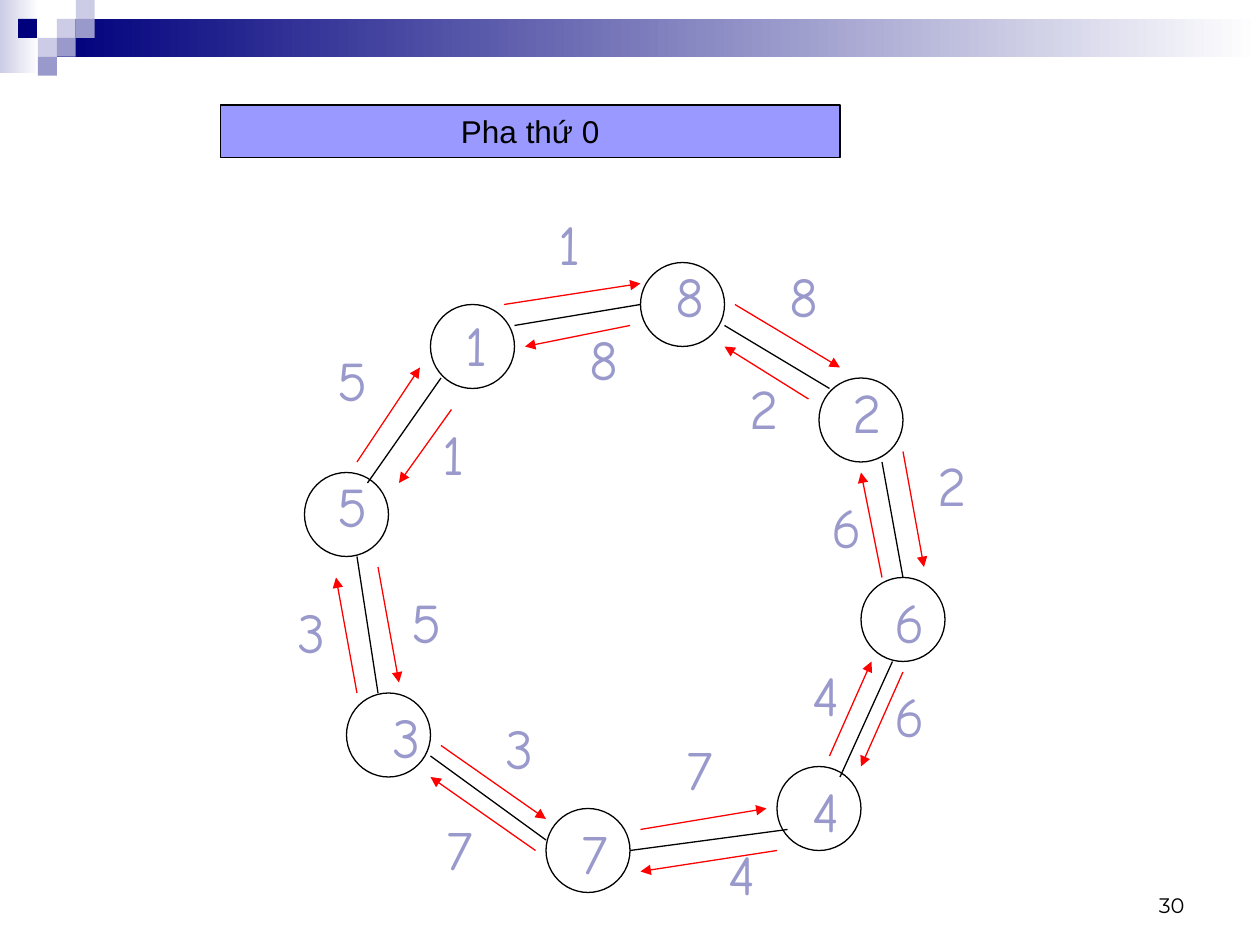
from lxml import etree
from pptx import Presentation
from pptx.dml.color import RGBColor
from pptx.enum.shapes import MSO_CONNECTOR, MSO_SHAPE
from pptx.enum.text import MSO_ANCHOR, MSO_AUTO_SIZE, PP_ALIGN
from pptx.oxml.ns import qn
from pptx.util import Pt

RECTANGLE, OVAL = MSO_SHAPE.RECTANGLE, MSO_SHAPE.OVAL
STRAIGHT = MSO_CONNECTOR.STRAIGHT
LEFT, CENTER, RIGHT = PP_ALIGN.LEFT, PP_ALIGN.CENTER, PP_ALIGN.RIGHT
TOP, MIDDLE, BOTTOM = MSO_ANCHOR.TOP, MSO_ANCHOR.MIDDLE, MSO_ANCHOR.BOTTOM
FIXED, GROW = MSO_AUTO_SIZE.NONE, MSO_AUTO_SIZE.SHAPE_TO_FIT_TEXT
TITLE_ONLY = 5

COLOURS = {
    "black": "000000", "white": "FFFFFF", "red": "FF0000", "navy": "00007D",
    "pale": "CCCCE6", "lavender": "9999CC", "banner": "9999FF",
}
STYLES = {
    "title": {
        "frame": {"vertical_anchor": MIDDLE, "word_wrap": False, "auto_size": FIXED},
        "para": {"alignment": CENTER},
        "font": {"name": "Arial", "size": Pt(18)}, "colour": "black",
    },
    "digit": {
        "frame": {"vertical_anchor": TOP, "word_wrap": False, "auto_size": GROW},
        "para": {"alignment": LEFT, "space_before": Pt(8)},
        "font": {"name": "Comic Neue", "size": Pt(32)}, "colour": "lavender",
    },
    "number": {
        "frame": {"vertical_anchor": BOTTOM, "word_wrap": True, "auto_size": FIXED},
        "para": {"alignment": RIGHT},
        "font": {"name": "Montserrat", "size": Pt(12)}, "colour": "black",
    },
}
BANDS = [((0, 0, 22.5, 42), "pale"), ((32.5, 11, 687.5, 21.5), "navy")]
TILE = 10.8
TILES = [
    (32.5, 10.8, "pale"), (43.3, 0, "pale"), (43.3, 10.8, "lavender"),
    (21.7, 21.6, "pale"), (10.3, 10.8, "navy"), (32.5, 21.6, "lavender"),
    (21.7, 32.4, "lavender"),
]
NODE_SIZE = 48
DIGIT_HEIGHT = 46
DIGIT_WIDTHS = {1: 26.6, 2: 31, 3: 30.2, 4: 29.5, 5: 31.7, 6: 31.7, 7: 29.5, 8: 31}
# Clockwise: value, circle corner, digit corner
NODES = [
    (8, (366, 150), (379, 146)), (2, (468, 216), (480, 212)),
    (6, (492, 330), (504, 332)), (4, (444, 438), (457, 440)),
    (7, (312, 462), (325, 464)), (3, (198, 396), (217, 398)),
    (5, (174, 270), (186, 266)), (1, (246, 174), (259, 174)),
]
# From each node to the next: edge, message sent on, message sent back, digit corners
LINKS = [
    ((414, 186, 474, 222), (420, 174, 480, 210), (462, 228, 414, 198), (444, 146), (421, 210)),
    ((504, 264, 516, 330), (516, 258, 528, 324), (504, 330, 492, 270), (528.5, 254), (468, 278)),
    ((510, 378, 480, 444), (516, 384, 492, 438), (474, 432, 498, 378), (504, 386), (457, 374)),
    ((450, 474, 360, 486), (444, 486, 366, 498), (366, 474, 438, 462), (409, 476), (385, 416)),
    ((312, 480, 246, 432), (306, 486, 246, 444), (252, 426, 312, 468), (248, 462), (282, 404)),
    ((216, 396, 204, 318), (204, 396, 192, 330), (216, 324, 228, 390), (163, 338), (228, 332)),
    ((210, 276, 252, 216), (204, 264, 240, 210), (258, 234, 228, 276), (186, 194), (246, 236)),
    ((294, 186, 366, 174), (288, 174, 366, 162), (360, 186, 300, 198), (312, 116), (330, 182)),
]


def colour(name):
    """Return the named colour."""
    return RGBColor.from_string(COLOURS[name])


def set_attributes(target, values):
    """Set each named value on the target."""
    for name, value in values.items():
        setattr(target, name, value)


def write(box, text, style_name):
    """Put styled text into a box."""
    style = STYLES[style_name]
    frame = box.text_frame
    set_attributes(frame, style["frame"])
    para = frame.paragraphs[0]
    set_attributes(para, style["para"])
    span = para.add_run()
    span.text = text
    set_attributes(span.font, style["font"])
    span.font.color.rgb = colour(style["colour"])


def outline(shape):
    """Give a shape or connector a thin black line."""
    shape.line.color.rgb = colour("black")
    shape.line.width = Pt(0.75)


def add_block(page, area, fill, fades=False):
    """Add a borderless rectangle, plain or fading to white."""
    block = page.shapes.add_shape(RECTANGLE, *map(Pt, area))
    block.shadow.inherit = False
    block.line.fill.background()
    if fades:
        block.fill.gradient()
        block.fill.gradient_angle = 0
        for stop, name in zip(block.fill.gradient_stops, (fill, "white")):
            stop.color.rgb = colour(name)
    else:
        block.fill.solid()
        block.fill.fore_color.rgb = colour(fill)


def add_title(page, text):
    """Turn the title placeholder into the banner."""
    title = page.shapes.title
    set_attributes(title, {"left": Pt(126), "top": Pt(60), "width": Pt(354), "height": Pt(30)})
    title.fill.solid()
    title.fill.fore_color.rgb = colour("banner")
    outline(title)
    write(title, text, "title")


def add_text(page, area, text, style_name):
    """Add a text box."""
    box = page.shapes.add_textbox(*map(Pt, area))
    write(box, text, style_name)


def add_digit(page, value, corner):
    """Add a node value or message value."""
    add_text(page, (*corner, DIGIT_WIDTHS[value], DIGIT_HEIGHT), str(value), "digit")


def add_node(page, corner):
    """Add an unfilled circle."""
    node = page.shapes.add_shape(OVAL, *map(Pt, (*corner, NODE_SIZE, NODE_SIZE)))
    node.shadow.inherit = False
    node.fill.background()
    outline(node)


def add_line(page, ends, arrow=False):
    """Add a black edge or a red message arrow."""
    line = page.shapes.add_connector(STRAIGHT, *map(Pt, ends))
    outline(line)
    if arrow:
        line.line.color.rgb = colour("red")
        etree.SubElement(line.line._get_or_add_ln(), qn("a:tailEnd"), type="triangle")
    etree.SubElement(line._element.spPr, qn("a:effectLst"))


def main():
    """Build the ring of nodes and save the deck."""
    deck = Presentation()
    deck.slide_width, deck.slide_height = Pt(720), Pt(540)
    page = deck.slides.add_slide(deck.slide_layouts[TITLE_ONLY])
    for area, fill in BANDS:
        add_block(page, area, fill, fades=True)
    for left, top, fill in TILES:
        add_block(page, (left, top, TILE, TILE), fill)
    add_title(page, "Pha thứ 0")
    add_text(page, (516, 492, 168, 36), "30", "number")
    for value, circle_corner, digit_corner in NODES:
        add_node(page, circle_corner)
        add_digit(page, value, digit_corner)
    values = [node[0] for node in NODES]
    following = values[1:] + values[:1]
    for value, next_value, link in zip(values, following, LINKS):
        edge, onward, back, onward_corner, back_corner = link
        add_line(page, edge)
        add_line(page, onward, arrow=True)
        add_line(page, back, arrow=True)
        add_digit(page, value, onward_corner)
        add_digit(page, next_value, back_corner)
    deck.save("out.pptx")


if __name__ == "__main__":
    main()
